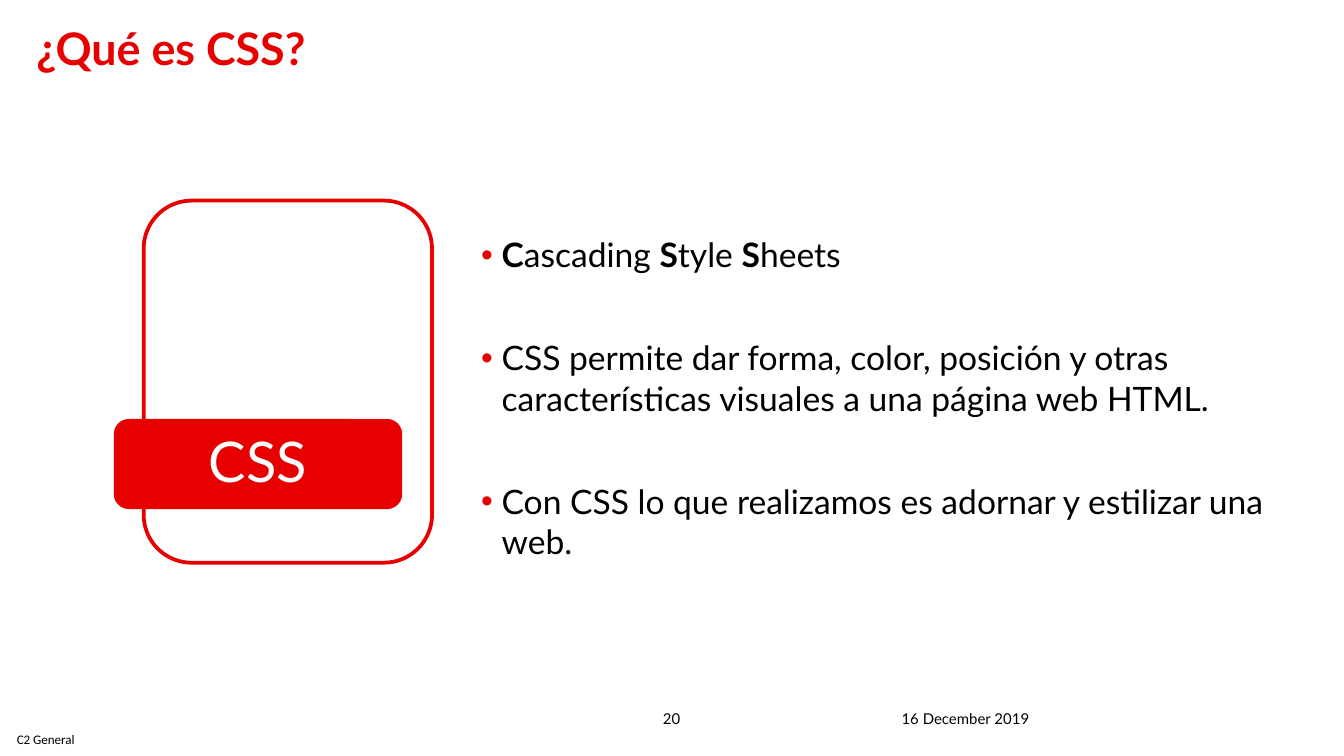
import pptx
import pptx.util
import pptx.dml.color
import pptx.enum.shapes
import pptx.enum.text
import pptx.oxml
import pptx.oxml.ns

Pt = pptx.util.Pt
ALIGN = pptx.enum.text.PP_ALIGN
ANCHOR = pptx.enum.text.MSO_ANCHOR
COLORS = {"red": "E60000", "black": "000000", "white": "FFFFFF"}


def color(name):
    return pptx.dml.color.RGBColor.from_string(COLORS[name])


def add_run(paragraph, text, size, color_name="black", bold=False, font="Lato"):
    run = paragraph.add_run()
    run.text = text
    run.font.name = font
    run.font.size = Pt(size)
    run.font.bold = bold
    run.font.color.rgb = color(color_name)


presentation = pptx.Presentation()
presentation.slide_width = Pt(720)
presentation.slide_height = Pt(405)
slide = presentation.slides.add_slide(presentation.slide_layouts[6])

labels = [
    ("C2 General", (0, 388, 49, 16.5), 7, "black", False, "Calibri", ALIGN.CENTER, ANCHOR.MIDDLE, 1),
    ("¿Qué es CSS?", (19.5, 16.5, 515, 52.5), 24, "red", True, "Lato", ALIGN.LEFT, ANCHOR.TOP, 0.8),
    ("16 December 2019", (483, 371, 168, 18.5), 8, "black", False, "Lato", ALIGN.LEFT, ANCHOR.BOTTOM, 1),
    ("20", (343.5, 371, 32.5, 18.5), 8, "black", False, "Lato", ALIGN.CENTER, ANCHOR.BOTTOM, 1),
]
bullets = [
    [("C", True), ("ascading ", False), ("S", True), ("tyle ", False), ("S", True), ("heets", False)],
    [("CSS permite dar forma, color, posición y otras características visuales a una página web HTML.", False)],
    [("Con CSS lo que realizamos es adornar y estilizar una web.", False)],
]

for text, box, size, color_name, bold, font, alignment, anchor, spacing in labels:
    frame = slide.shapes.add_textbox(*map(Pt, box)).text_frame
    frame.word_wrap = True
    frame.vertical_anchor = anchor
    frame.margin_left = frame.margin_right = frame.margin_top = frame.margin_bottom = 0
    paragraph = frame.paragraphs[0]
    paragraph.alignment = alignment
    paragraph.line_spacing = spacing
    add_run(paragraph, text, size, color_name, bold, font)

body = slide.shapes.add_textbox(Pt(257.75), Pt(125.5), Pt(442), Pt(200.5)).text_frame
body.word_wrap = True
body.margin_left = body.margin_right = body.margin_top = body.margin_bottom = 0
for index, runs in enumerate(bullets):
    paragraph = body.add_paragraph() if index else body.paragraphs[0]
    if index:
        paragraph.space_before = Pt(33.6)
    properties = paragraph._p.get_or_add_pPr()
    properties.set("marL", str(Pt(11)))
    properties.set("indent", str(-Pt(11)))
    namespace = pptx.oxml.ns.nsdecls("a")
    for element in (
        f'<a:buClr {namespace}><a:srgbClr val="{COLORS["red"]}"/></a:buClr>',
        f'<a:buFont {namespace} typeface="Arial"/>',
        f'<a:buChar {namespace} char="•"/>',
    ):
        properties.append(pptx.oxml.parse_xml(element))
    for text, bold in runs:
        add_run(paragraph, text, 18, bold=bold)

rounded = pptx.enum.shapes.MSO_SHAPE.ROUNDED_RECTANGLE
frame_shape = slide.shapes.add_shape(rounded, Pt(77), Pt(107.5), Pt(154.5), Pt(194))
frame_shape.shadow.inherit = False
frame_shape.fill.background()
frame_shape.line.color.rgb = color("red")
frame_shape.line.width = Pt(2)

css_label = slide.shapes.add_shape(rounded, Pt(61), Pt(224.5), Pt(154.5), Pt(48.25))
css_label.shadow.inherit = False
css_label.fill.solid()
css_label.fill.fore_color.rgb = color("red")
css_label.line.fill.background()
frame = css_label.text_frame
frame.margin_left = frame.margin_right = frame.margin_top = frame.margin_bottom = Pt(1)
frame.vertical_anchor = ANCHOR.MIDDLE
paragraph = frame.paragraphs[0]
paragraph.alignment = ALIGN.CENTER
paragraph.line_spacing = 0.9
add_run(paragraph, "CSS", 30, "white")

presentation.save("out.pptx")
